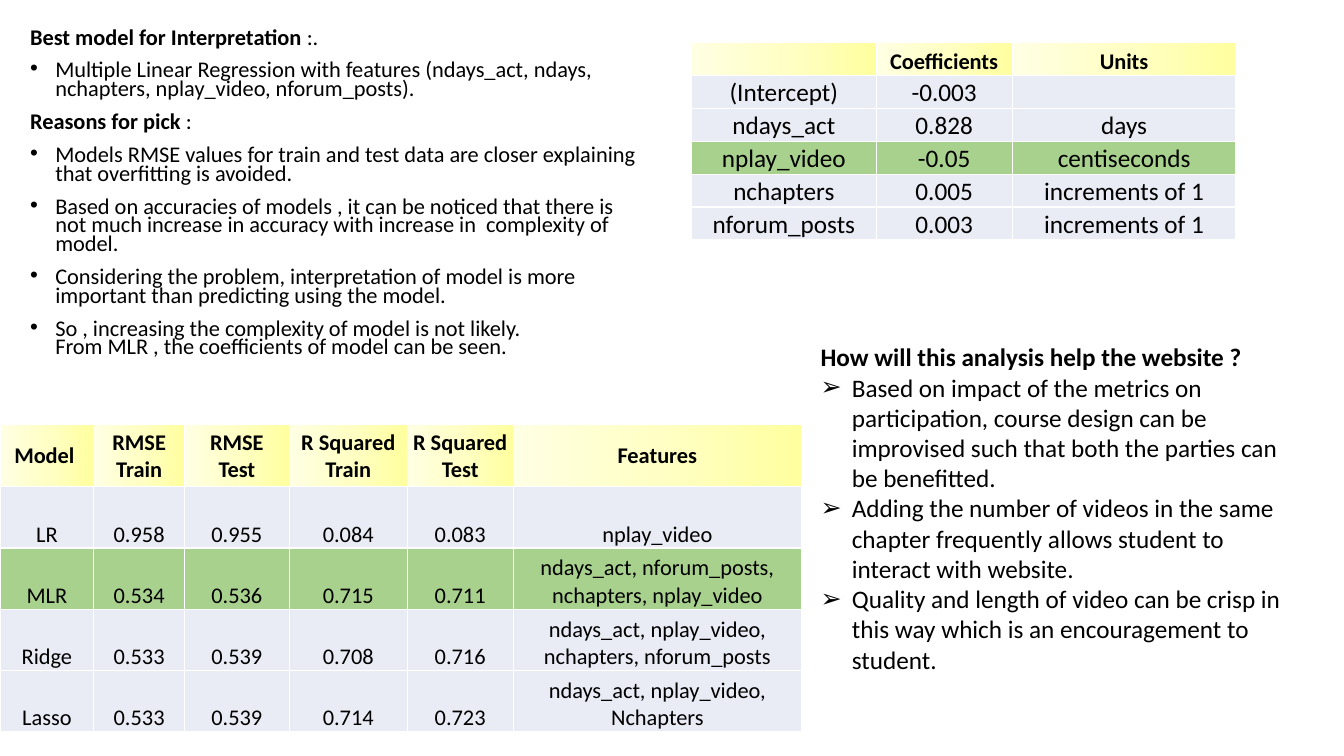
import dataclasses
import typing

import lxml.etree
import pptx
import pptx.dml.color
import pptx.enum.text
import pptx.oxml.ns
import pptx.util

WIDE = pptx.util.Inches(13.33)
HIGH = pptx.util.Inches(7.5)
FONT = "Calibri"
BLACK, WHITE = "000000", "FFFFFF"
PLAIN, PICK = "E9EBF5", "A9D18E"
FADE = ((0, "FFFFA0"), (50, "FFFFC5"), (100, "FFFFE3"))

ALIGN = pptx.enum.text.PP_ALIGN
ANCHOR = pptx.enum.text.MSO_ANCHOR


@dataclasses.dataclass
class Line:
    runs: list[tuple[str, bool]]  # text and bold
    mark: str = ""


@dataclasses.dataclass
class Note:
    box: tuple[float, float, float, float]  # percent of the slide
    size: float
    dent: float
    lines: list[Line]
    pitch: float = 1.0
    gap: float = 0


@dataclasses.dataclass
class Grid:
    left: float  # all lengths in percent of the slide
    top: float
    cols: list[float]
    rows: list[float]
    pick: int
    size: float
    head: typing.Any
    cells: list[list[str]]


def across(share: float) -> int:
    return round(WIDE * share / 100)


def down(share: float) -> int:
    return round(HIGH * share / 100)


def color(code: str) -> pptx.dml.color.RGBColor:
    return pptx.dml.color.RGBColor.from_string(code)


def node(parent: typing.Any, tag: str, **attrs: str) -> typing.Any:
    return lxml.etree.SubElement(parent, pptx.oxml.ns.qn(tag), attrs)


def write(para: typing.Any, text: str, size: float, bold: bool) -> None:
    """Add a run for each part; a vertical tab breaks the line."""
    for i, part in enumerate(text.split("\v")):
        if i:
            para.add_line_break()
        run = para.add_run()
        run.text = part
        run.font.name = FONT
        run.font.size = pptx.util.Pt(size)
        run.font.bold = bold
        run.font.color.rgb = color(BLACK)


def draw_note(slide: typing.Any, note: Note) -> None:
    x, y, w, h = note.box
    frame = slide.shapes.add_textbox(across(x), down(y), across(w), down(h)).text_frame
    frame.word_wrap = True
    frame.auto_size = pptx.enum.text.MSO_AUTO_SIZE.SHAPE_TO_FIT_TEXT
    for i, line in enumerate(note.lines):
        para = frame.add_paragraph() if i else frame.paragraphs[0]
        para.line_spacing = note.pitch
        para.space_before = pptx.util.Pt(note.gap)
        if line.mark:
            props = para._p.get_or_add_pPr()
            dent = pptx.util.Inches(note.dent)
            props.set("marL", str(dent))
            props.set("indent", str(-dent))
            node(props, "a:buFont", typeface="Arial")
            node(props, "a:buChar", char=line.mark)
        for text, bold in line.runs:
            write(para, text, note.size, bold)


def edge(cell: typing.Any) -> None:
    props = cell._tc.get_or_add_tcPr()
    for side in ("L", "R", "T", "B"):
        rule = node(props, f"a:ln{side}", w=str(pptx.util.Pt(1)))
        node(node(rule, "a:solidFill"), "a:srgbClr", val=WHITE)


def shade(cell: typing.Any) -> None:
    fill = node(cell._tc.get_or_add_tcPr(), "a:gradFill", rotWithShape="1")
    stops = node(fill, "a:gsLst")
    for at, code in FADE:
        node(node(stops, "a:gs", pos=str(at * 1000)), "a:srgbClr", val=code)
    node(fill, "a:lin", ang=str(180 * 60000), scaled="0")


def draw_grid(slide: typing.Any, grid: Grid) -> None:
    table = slide.shapes.add_table(
        len(grid.rows), len(grid.cols), across(grid.left), down(grid.top),
        across(sum(grid.cols)), down(sum(grid.rows))).table
    table.horz_banding = False
    for col, share in zip(table.columns, grid.cols):
        col.width = across(share)
    for row, share in zip(table.rows, grid.rows):
        row.height = down(share)
    for r, texts in enumerate(grid.cells):
        for c, text in enumerate(texts):
            cell = table.cell(r, c)
            cell.margin_left = cell.margin_right = cell.margin_top = pptx.util.Inches(0.01)
            cell.margin_bottom = 0
            cell.vertical_anchor = ANCHOR.BOTTOM if r else grid.head
            edge(cell)
            if r:
                cell.fill.solid()
                cell.fill.fore_color.rgb = color(PICK if r == grid.pick else PLAIN)
            else:
                shade(cell)
            for i, part in enumerate(text.split("\n") if text else []):
                frame = cell.text_frame
                para = frame.add_paragraph() if i else frame.paragraphs[0]
                para.alignment = ALIGN.CENTER
                write(para, part, grid.size if r else 16, r == 0)


def point(text: str, mark: str) -> Line:
    return Line([(text, False)], mark)


# Text blocks
REASONS = Note((1.5, 3.33, 47.04, 45.33), 16, 0.25, [
    Line([("Best model for Interpretation ", True), (":.", False)]),
    point("Multiple Linear Regression with features (ndays_act, ndays, "
          "nchapters, nplay_video, nforum_posts).", "•"),
    Line([("Reasons for pick ", True), (":", False)]),
    point("Models RMSE values for train and test data are closer explaining "
          "that overfitting is avoided.", "•"),
    point("Based on accuracies of models , it can be noticed that there is not much "
          "increase in accuracy with increase in  complexity of model.", "•"),
    point("Considering the problem, interpretation of model is more important "
          "than predicting using the model.", "•"),
    point("So , increasing the complexity of model is not likely. \v"
          "From MLR , the coefficients of model can be seen.", "•"),
], pitch=0.7, gap=10)

BENEFITS = Note((60.32, 44.53, 36.16, 45.73), 18, 0.31, [
    Line([("How will this analysis help the website ?", True)]),
    point("Based on impact of the metrics on participation, course design can be "
          "improvised such that both the parties can be benefitted.", "➢"),
    point("Adding the number of videos in the same chapter frequently allows "
          "student to interact with website.", "➢"),
    point("Quality and length of video can be crisp in this way which is an "
          "encouragement to student.", "➢"),
])

# Tables
MODELS = Grid(0, 56.13, [6.98, 6.75, 7.8, 8.78, 7.88, 21.46], [8.27] + [8.1] * 4,
              2, 16, ANCHOR.MIDDLE, [
    ["Model ", "RMSE\nTrain", "RMSE\vTest", "R Squared\nTrain", "R Squared\nTest", "Features"],
    ["LR", "0.958", "0.955", "0.084", "0.083", "nplay_video"],
    ["MLR", "0.534", "0.536", "0.715", "0.711",
     "ndays_act, nforum_posts,\nnchapters, nplay_video"],
    ["Ridge", "0.533", "0.539", "0.708", "0.716",
     "ndays_act, nplay_video, nchapters, nforum_posts"],
    ["Lasso", "0.533", "0.539", "0.714", "0.723", "ndays_act, nplay_video,\nNchapters"],
])

WEIGHTS = Grid(51.46, 5.6, [13.73, 10.13, 16.65], [4.36] * 6, 3, 18, ANCHOR.BOTTOM, [
    ["", "Coefficients", "Units"],
    ["(Intercept)", "-0.003", ""],
    ["ndays_act", "0.828", "days"],
    ["nplay_video", "-0.05", "centiseconds"],
    ["nchapters", "0.005", "increments of 1"],
    ["nforum_posts", "0.003", "increments of 1"],
])


def main() -> None:
    deck = pptx.Presentation()
    deck.slide_width, deck.slide_height = WIDE, HIGH
    slide = deck.slides.add_slide(deck.slide_layouts[6])
    for note in (REASONS, BENEFITS):
        draw_note(slide, note)
    for grid in (MODELS, WEIGHTS):
        draw_grid(slide, grid)
    deck.save("out.pptx")


if __name__ == "__main__":
    main()
